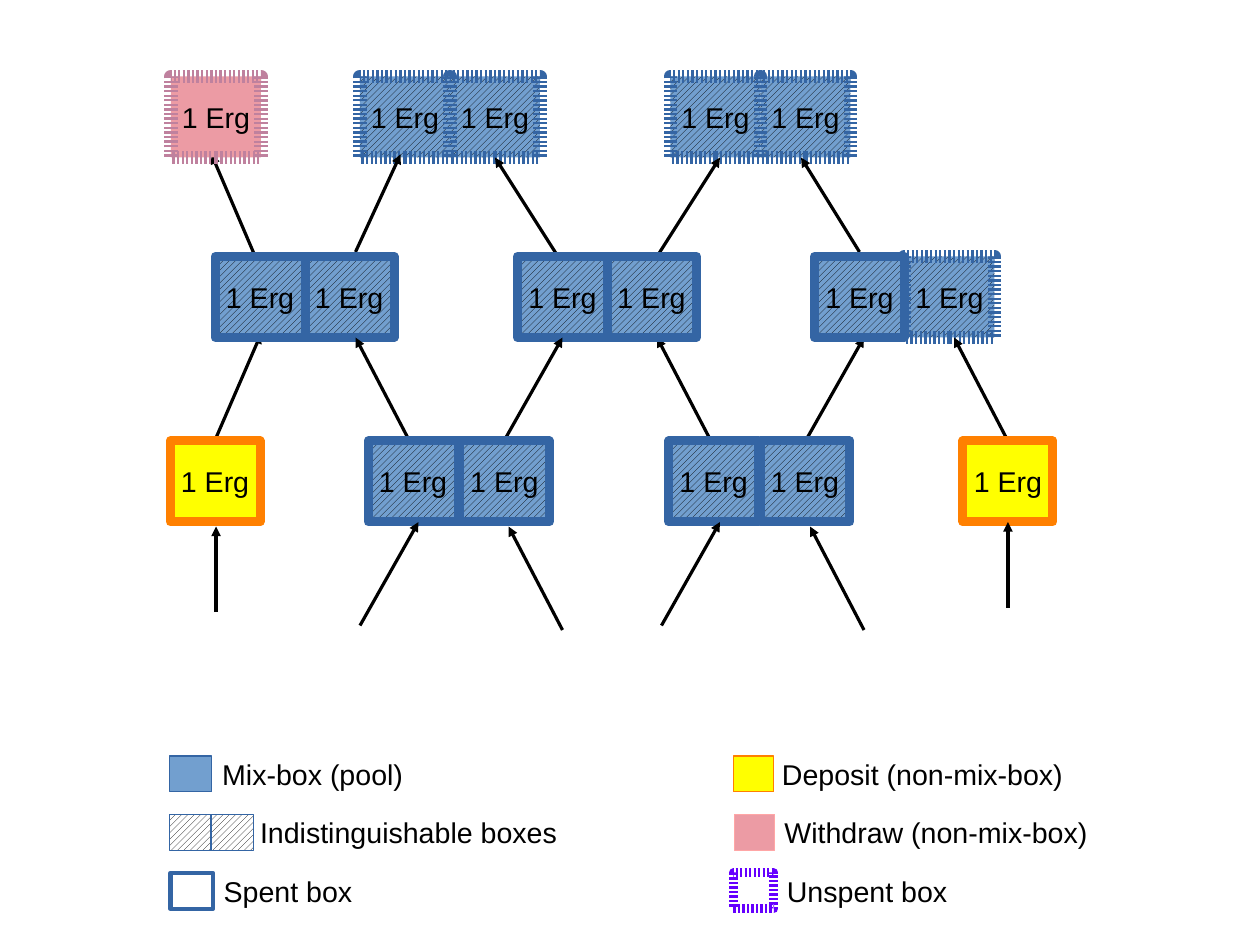
from lxml.etree import SubElement
from pptx import Presentation
from pptx.dml.color import RGBColor
from pptx.enum.dml import MSO_PATTERN
from pptx.enum.shapes import MSO_CONNECTOR, MSO_SHAPE
from pptx.enum.text import MSO_ANCHOR, PP_ALIGN
from pptx.oxml.ns import qn
from pptx.util import Cm, Pt

BLACK = RGBColor(0x00, 0x00, 0x00)
WHITE = RGBColor(0xFF, 0xFF, 0xFF)
POOL = RGBColor(0x72, 0x9F, 0xCF)
NAVY = RGBColor(0x34, 0x65, 0xA4)
YELLOW = RGBColor(0xFF, 0xFF, 0x00)
ORANGE = RGBColor(0xFF, 0x80, 0x00)
PINK = RGBColor(0xEC, 0x9B, 0xA4)
MAUVE = RGBColor(0xBF, 0x81, 0x9E)
ROSE = RGBColor(0xFF, 0xA6, 0xA6)
VIOLET = RGBColor(0x66, 0x00, 0xFF)

HAIRLINE, THIN, SPENT, UNSPENT = 0, 2.83, 5.67, 8.5
TOP_ROW, MIDDLE_ROW, BOTTOM_ROW = 1.7, 5.7, 9.8
LEGEND_ROWS = (16.8, 18.1, 19.4)


class MixDiagram:
    """Draws mix boxes, arrows and legend entries on one slide."""

    font_name = "Arial"
    font_size = Pt(18)
    box_width, box_height = 2.0, 1.8
    dash_length = 1.45

    def __init__(self, slide):
        self.slide = slide

    def rectangle(self, left, top, width, height, fill, line, weight,
                  hatched=False, dashed=False, text=""):
        shape = self.slide.shapes.add_shape(
            MSO_SHAPE.RECTANGLE, Cm(left), Cm(top), Cm(width), Cm(height))
        shape.shadow.inherit = False
        if hatched:
            shape.fill.patterned()
            shape.fill.pattern = MSO_PATTERN.WIDE_UPWARD_DIAGONAL
            shape.fill.fore_color.rgb = BLACK
            shape.fill.back_color.rgb = fill
        else:
            shape.fill.solid()
            shape.fill.fore_color.rgb = fill
        shape.line.color.rgb = line
        shape.line.width = Pt(weight)
        outline = shape._element.spPr.find(qn("a:ln"))
        if dashed:
            share = str(round(self.dash_length / weight * 100000))
            SubElement(SubElement(outline, qn("a:custDash")), qn("a:ds"), d=share, sp=share)
        SubElement(outline, qn("a:round"))
        if text:
            self.caption(shape.text_frame, text)

    def caption(self, text_frame, text):
        text_frame.text = text
        text_frame.word_wrap = False
        text_frame.vertical_anchor = MSO_ANCHOR.MIDDLE
        paragraph = text_frame.paragraphs[0]
        paragraph.alignment = PP_ALIGN.CENTER
        font = paragraph.runs[0].font
        font.name = self.font_name
        font.size = self.font_size
        font.color.rgb = BLACK

    def box(self, left, top, fill=POOL, line=NAVY, weight=SPENT):
        self.rectangle(left, top, self.box_width, self.box_height, fill, line, weight,
                       hatched=fill == POOL, dashed=weight == UNSPENT, text="1 Erg")

    def arrows(self, routes):
        for route in routes:
            connector = self.slide.shapes.add_connector(
                MSO_CONNECTOR.STRAIGHT, *[Cm(value) for value in route])
            connector.line.color.rgb = BLACK
            connector.line.width = Pt(HAIRLINE)
            properties = connector._element.spPr
            SubElement(properties.find(qn("a:ln")), qn("a:tailEnd"), type="triangle")
            SubElement(properties, qn("a:effectLst"))

    def swatch(self, left, top, width, fill, line, weight=HAIRLINE,
               hatched=False, dashed=False):
        self.rectangle(left, top, width, 0.8, fill, line, weight, hatched, dashed)

    def label(self, left, top, width, text):
        self.rectangle(left, top, width, 0.8, WHITE, WHITE, HAIRLINE, text=text)


def main():
    presentation = Presentation()
    presentation.slide_width = Cm(28)
    presentation.slide_height = Cm(21)
    diagram = MixDiagram(presentation.slides.add_slide(presentation.slide_layouts[6]))

    diagram.box(20.1, MIDDLE_ROW, weight=UNSPENT)
    for left in (10, 8, 16.9, 14.9):
        diagram.box(left, TOP_ROW, weight=UNSPENT)

    diagram.arrows([
        (4.8, 9.73, 5.8, 7.42), (17.9, 9.8, 19.2, 7.5), (15.8, 9.8, 14.6, 7.5),
        (22.4, 9.8, 21.2, 7.5), (5.8, 6, 4.7, 3.43), (7.9, 5.6, 8.9, 3.43),
        (12.4, 5.7, 11, 3.5), (14.6, 5.7, 16, 3.5), (19.1, 5.6, 17.8, 3.5),
    ])
    diagram.box(3.8, TOP_ROW, PINK, MAUVE, UNSPENT)
    for left in (6.76, 13.48, 4.78, 11.5, 18.1):
        diagram.box(left, MIDDLE_ROW)

    diagram.arrows([(11.2, 9.8, 12.5, 7.5), (9.1, 9.8, 7.9, 7.5)])
    for left in (8.18, 10.21, 14.86, 16.89):
        diagram.box(left, BOTTOM_ROW)
    for left in (3.78, 21.4):
        diagram.box(left, BOTTOM_ROW, YELLOW, ORANGE)
    diagram.arrows([
        (4.8, 13.6, 4.8, 11.7), (22.4, 13.5, 22.4, 11.6),
        (8, 13.9, 9.3, 11.6), (12.5, 14, 11.3, 11.7),
        (14.7, 13.9, 16, 11.6), (19.2, 14, 18, 11.7),
    ])

    first, second, third = LEGEND_ROWS
    diagram.swatch(3.77, first, 0.94, POOL, NAVY)
    for left in (3.77, 4.69):
        diagram.swatch(left, second, 0.94, WHITE, NAVY, hatched=True)
    diagram.swatch(3.79, third, 0.94, WHITE, NAVY, THIN)
    diagram.swatch(16.3, first, 0.9, YELLOW, ORANGE)
    diagram.swatch(16.32, second, 0.9, PINK, ROSE)
    diagram.swatch(16.3, third, 0.9, WHITE, VIOLET, SPENT, dashed=True)

    for left, top, width, text in (
        (5.6, first, 2.7, "Mix-box (pool)"),
        (7.73, second, 2.7, "Indistinguishable boxes"),
        (5, third, 2.8, "Spent box"),
        (18.7, first, 3.6, "Deposit (non-mix-box)"),
        (19, second, 3.6, "Withdraw (non-mix-box)"),
        (17.42, third, 3.7, "Unspent box"),
    ):
        diagram.label(left, top, width, text)

    presentation.save("out.pptx")


if __name__ == "__main__":
    main()
